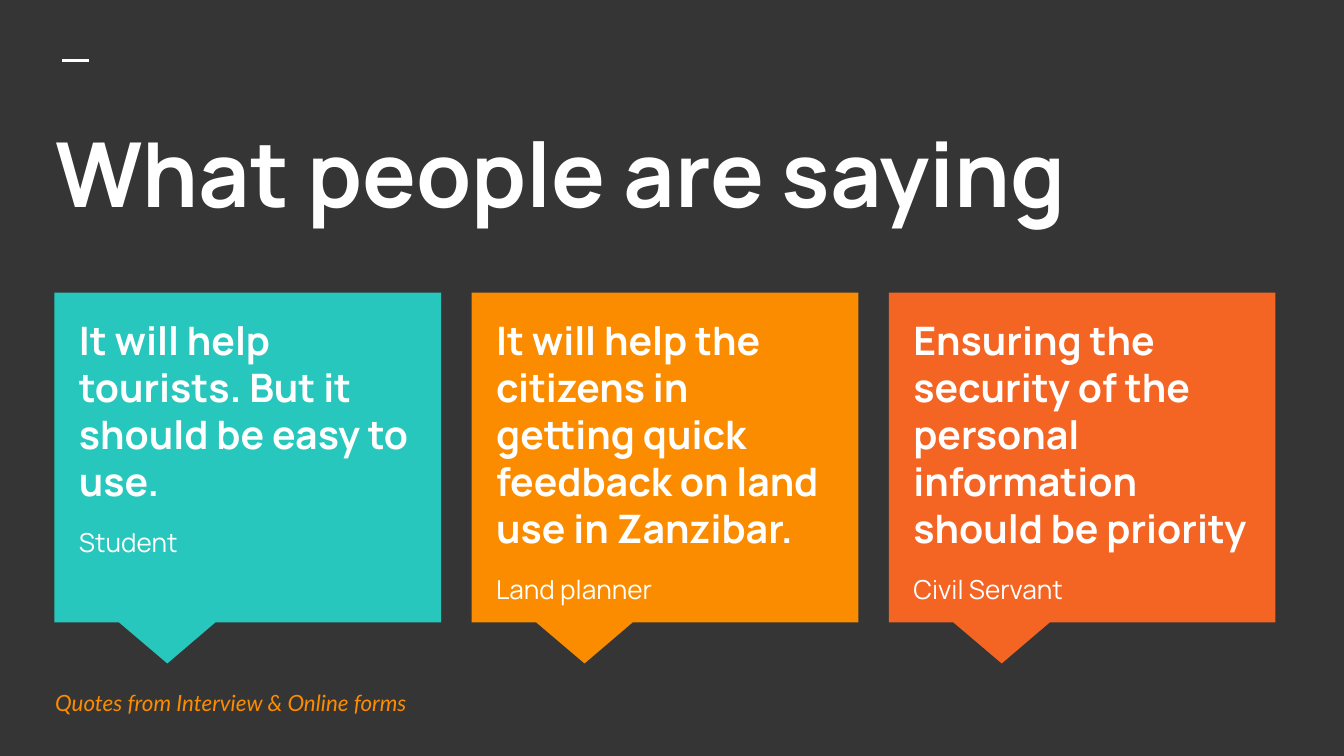
from dataclasses import dataclass

from lxml.etree import SubElement
from pptx import Presentation
from pptx.dml.color import RGBColor
from pptx.enum.shapes import MSO_CONNECTOR, MSO_SHAPE
from pptx.enum.text import MSO_ANCHOR, MSO_AUTO_SIZE, PP_ALIGN
from pptx.oxml.ns import qn
from pptx.util import Pt


@dataclass(frozen=True)
class Theme:
    background: RGBColor = RGBColor.from_string("353535")
    white: RGBColor = RGBColor.from_string("FFFFFF")
    teal: RGBColor = RGBColor.from_string("27C7BD")
    amber: RGBColor = RGBColor.from_string("FB8C00")
    orange: RGBColor = RGBColor.from_string("F46524")
    font: str = "Manrope"
    source_font: str = "Lato"
    title_size: int = 48
    quote_size: int = 21
    speaker_size: int = 14
    source_size: int = 12


def set_frame(tf, anchor):
    tf.word_wrap = True
    tf.auto_size = MSO_AUTO_SIZE.NONE
    tf.vertical_anchor = anchor
    tf.margin_left = tf.margin_right = Pt(7.2)
    tf.margin_top = tf.margin_bottom = Pt(7.2)


def set_text(p, text, size, color, name, bold=False, italic=False):
    p.text = text
    p.alignment = PP_ALIGN.LEFT
    p.font.size = Pt(size)
    p.font.color.rgb = color
    p.font.name = name
    p.font.bold = bold
    p.font.italic = italic


theme = Theme()
prs = Presentation()
prs.slide_width, prs.slide_height = Pt(720), Pt(405)
s = prs.slides.add_slide(prs.slide_layouts[5])
s.background.fill.solid()
s.background.fill.fore_color.rgb = theme.background

dash = s.shapes.add_connector(MSO_CONNECTOR.STRAIGHT, Pt(33.5), Pt(32.5), Pt(47.9), Pt(32.5))
dash.line.color.rgb = theme.white
dash.line.width = Pt(1.5)
SubElement(dash._element.spPr, qn("a:effectLst"))

title = s.shapes.title
title.left, title.top, title.width, title.height = Pt(22.5), Pt(56.2), Pt(679), Pt(80.6)
set_frame(title.text_frame, MSO_ANCHOR.TOP)
set_text(title.text_frame.paragraphs[0], "What people are saying",
         theme.title_size, theme.white, theme.font, bold=True)

quotes = [
    ("It will help tourists. But it should be easy to use.", "Student", theme.teal),
    ("It will help the citizens in getting quick feedback on land use in Zanzibar.",
     "Land planner", theme.amber),
    ("Ensuring the security of the personal information should be priority",
     "Civil Servant", theme.orange),
]
left, step = 29.2, 223.5
for i, (quote, speaker, color) in enumerate(quotes):
    x = left + i * step
    callout = s.shapes.add_shape(MSO_SHAPE.RECTANGULAR_CALLOUT, Pt(x), Pt(156.8), Pt(207.1), Pt(176.6))
    callout.adjustments[0] = -0.208
    callout.adjustments[1] = 0.625
    callout.shadow.inherit = False
    callout.fill.solid()
    callout.fill.fore_color.rgb = color
    callout.line.fill.background()

    tf = s.shapes.add_textbox(Pt(x + 6), Pt(162), Pt(195.1), Pt(157.7)).text_frame
    set_frame(tf, MSO_ANCHOR.TOP)
    set_text(tf.paragraphs[0], quote, theme.quote_size, theme.white, theme.font, bold=True)
    p = tf.add_paragraph()
    set_text(p, speaker, theme.speaker_size, theme.white, theme.font)
    p.space_before = p.space_after = Pt(12)

tf = s.shapes.add_textbox(Pt(22.5), Pt(366.5), Pt(491.8), Pt(20.2)).text_frame
set_frame(tf, MSO_ANCHOR.MIDDLE)
set_text(tf.paragraphs[0], "Quotes from Interview & Online forms",
         theme.source_size, theme.amber, theme.source_font, italic=True)

prs.save("out.pptx")
